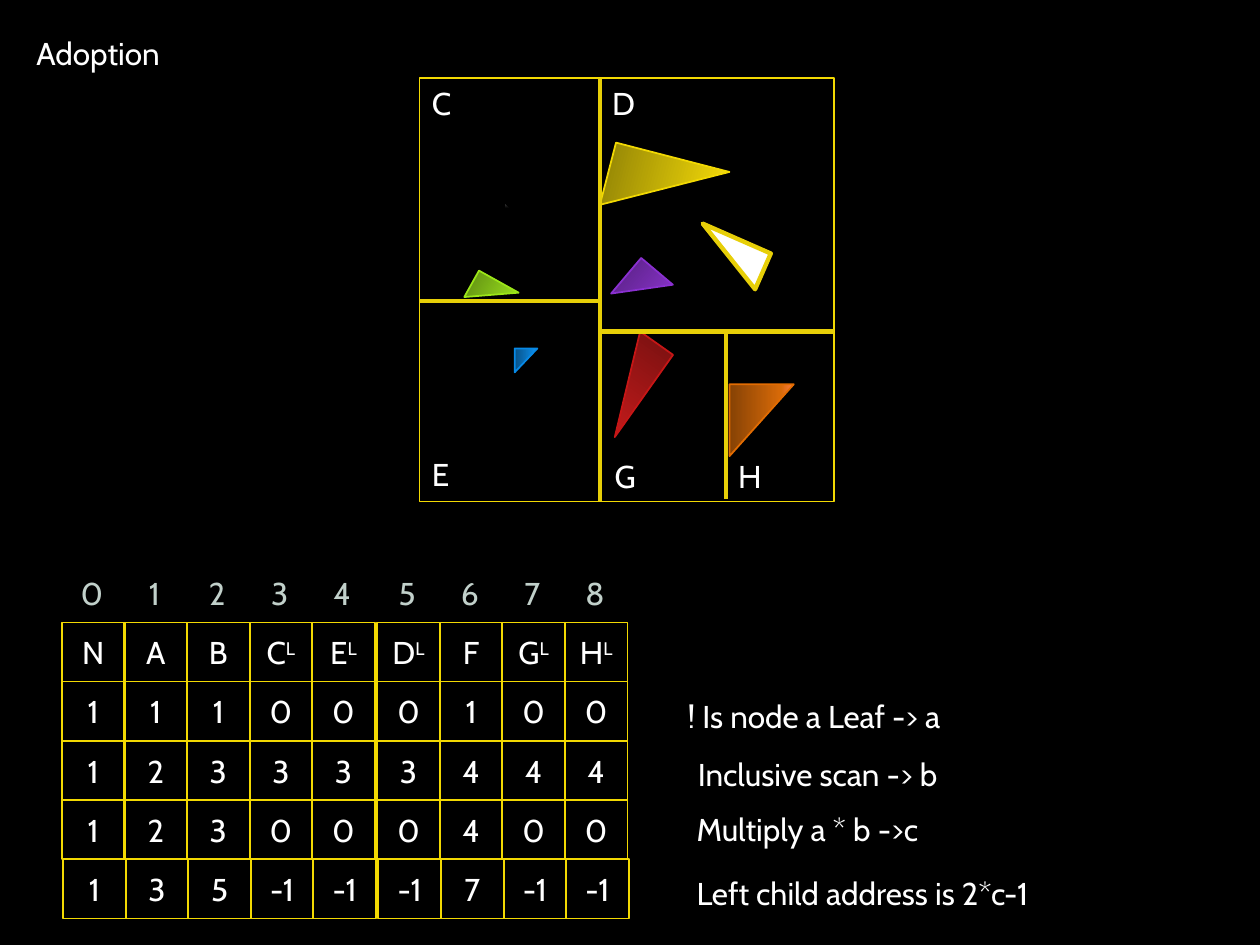
import copy
from dataclasses import dataclass

import pptx
import pptx.dml.color
import pptx.enum.shapes
import pptx.enum.text
import pptx.oxml.ns
import pptx.util
from lxml import etree
from pptx.util import Inches

RGB = pptx.dml.color.RGBColor
SHAPE = pptx.enum.shapes.MSO_SHAPE
BLACK = RGB(0x00, 0x00, 0x00)
WHITE = RGB(0xFF, 0xFF, 0xFF)
PALE = RGB(0xC1, 0xD0, 0xCA)
YELLOW = RGB(0xF2, 0xD9, 0x02)
GOLD = RGB(0xE7, 0xCF, 0x08)
FONT = "Cabin"

CELL_WIDTH, CELL_HEIGHT = 0.5, 0.47
COLUMN_PITCH, ROW_PITCH = 0.4965, 0.47
GRID_LEFT, GRID_TOP = 0.49, 4.94
LEVEL_GAP, LEVEL_START = 0.02, 5

NODES = ["N", "A", "B", "CL", "EL", "DL", "F", "GL", "HL"]
VALUES = [
    [1, 1, 1, 0, 0, 0, 1, 0, 0],
    [1, 2, 3, 3, 3, 3, 4, 4, 4],
    [1, 2, 3, 0, 0, 0, 4, 0, 0],
    [1, 3, 5, -1, -1, -1, 7, -1, -1],
]


@dataclass
class Triangle:
    left: float
    top: float
    width: float
    height: float
    rotation: float
    outline: RGB
    shades: tuple[str, ...]
    line_width: float = 1


@dataclass
class Label:
    text: str
    left: float
    top: float
    width: float


@dataclass
class Split:
    """A line that divides the scene into two nodes."""
    x1: float
    y1: float
    x2: float
    y2: float


TRIANGLES = [
    Triangle(4, 1.6, 0.27, 0.26, 0, BLACK, ("000000", "000000", "5E5E5E")),
    Triangle(5.02, 1.03, 0.51, 0.93, 104.5, YELLOW, ("8F8105", "E7CF08", "FFE552")),
    Triangle(5.49, 1.88, 0.59, 0.31, 203.7, GOLD, ("FFFFFF",), 2.5),
    Triangle(3.78, 2.16, 0.24, 0.36, 119.1, RGB(0x9B, 0xE6, 0x18), ("5D8812", "96DC1D", "ACFF4A")),
    Triangle(4.91, 2.13, 0.37, 0.33, 130.2, RGB(0x8A, 0x30, 0xD0), ("541F7C", "8733C8", "9D4BF2")),
    Triangle(4.08, 2.77, 0.19, 0.18, 90, RGB(0x07, 0x89, 0xE6), ("085288", "0C85DC", "489AFF")),
    Triangle(5.76, 3.08, 0.57, 0.51, 90, RGB(0xE2, 0x6C, 0x02), ("864205", "D86A08", "FF7D44")),
    Triangle(4.82, 2.65, 0.32, 0.8, 215.3, RGB(0xC6, 0x16, 0x16), ("751010", "BD1A1A", "E84545")),
]
SPLITS = [
    Split(4.76, 0.62, 4.76, 3.98),
    Split(4.76, 2.39, 3.33, 2.39),
    Split(6.62, 2.63, 4.77, 2.63),
    Split(5.76, 3.96, 5.76, 2.65),
]
LABELS = [
    Label("Adoption", 0.19, 0.22, 1.2),
    Label("C", 3.33, 0.62, 0.34),
    Label("D", 4.76, 0.62, 0.36),
    Label("E", 3.33, 3.56, 0.33),
    Label("G", 4.78, 3.58, 0.36),
    Label("H", 5.76, 3.58, 0.37),
    Label("! Is node a Leaf -> a", 5.36, 5.48, 2.22),
    Label("Inclusive scan -> b", 5.44, 5.94, 2.1),
    Label("Multiply a * b ->c", 5.43, 6.38, 1.99),
    Label("Left child address is 2*c-1", 5.43, 6.89, 2.86),
]


def style_run(run, color: RGB = WHITE) -> None:
    run.font.size = pptx.util.Pt(18)
    run.font.name = FONT
    run.font.color.rgb = color


def fill_shades(fill, shades: tuple[str, ...]) -> None:
    """Fill with one plain colour, or with a gradient of three."""
    if len(shades) == 1:
        fill.solid()
        fill.fore_color.rgb = RGB.from_string(shades[0])
        return
    fill.gradient()
    fill.gradient_angle = 90
    for stop, shade in zip(fill.gradient_stops, shades):
        stop.color.rgb = RGB.from_string(shade)
    fill.gradient_stops[1].position = 0.8
    qn = pptx.oxml.ns.qn
    stops = fill._xPr.find(qn("a:gradFill")).find(qn("a:gsLst"))
    last = copy.deepcopy(stops[1])
    last.set("pos", "100000")
    last.find(qn("a:srgbClr")).set("val", shades[2])
    stops.append(last)


def add_outlined(slide, kind, left: float, top: float, width: float, height: float,
                 color: RGB = YELLOW, line_width: float = 1):
    shape = slide.shapes.add_shape(kind, Inches(left), Inches(top), Inches(width), Inches(height))
    shape.shadow.inherit = False
    shape.fill.background()
    shape.line.color.rgb = color
    shape.line.width = pptx.util.Pt(line_width)
    return shape


def add_triangle(slide, item: Triangle) -> None:
    shape = add_outlined(slide, SHAPE.RIGHT_TRIANGLE, item.left, item.top,
                         item.width, item.height, item.outline, item.line_width)
    shape.rotation = item.rotation
    fill_shades(shape.fill, item.shades)


def add_split(slide, split: Split) -> None:
    line = slide.shapes.add_connector(
        pptx.enum.shapes.MSO_CONNECTOR.STRAIGHT,
        Inches(split.x1), Inches(split.y1), Inches(split.x2), Inches(split.y2))
    line.line.color.rgb = GOLD
    line.line.width = pptx.util.Pt(2.5)
    etree.SubElement(line._element.spPr, pptx.oxml.ns.qn("a:effectLst"))


def add_label(slide, label: Label) -> None:
    box = slide.shapes.add_textbox(Inches(label.left), Inches(label.top),
                                   Inches(label.width), Inches(0.4))
    frame = box.text_frame
    frame.text = label.text
    frame.word_wrap = False
    frame.auto_size = pptx.enum.text.MSO_AUTO_SIZE.SHAPE_TO_FIT_TEXT
    style_run(frame.paragraphs[0].runs[0])


def center_text(shape, text: str, color: RGB = WHITE) -> None:
    """Centre the text; the L that marks a leaf node is raised."""
    frame = shape.text_frame
    frame.word_wrap = True
    frame.vertical_anchor = pptx.enum.text.MSO_ANCHOR.MIDDLE
    paragraph = frame.paragraphs[0]
    paragraph.alignment = pptx.enum.text.PP_ALIGN.CENTER
    node = text.removesuffix("L")
    paragraph.text = node
    style_run(paragraph.runs[0], color)
    if node != text:
        leaf_mark = paragraph.add_run()
        leaf_mark.text = "L"
        style_run(leaf_mark, color)
        leaf_mark._r.get_or_add_rPr().set("baseline", "30000")


def column_left(column: int) -> float:
    return GRID_LEFT + column * COLUMN_PITCH + (LEVEL_GAP if column >= LEVEL_START else 0)


def add_node_grid(slide) -> None:
    rows = [NODES] + VALUES
    for row, values in enumerate(rows):
        shift = 0.01 if row == len(rows) - 1 else 0
        for column, value in enumerate(values):
            cell = add_outlined(slide, SHAPE.RECTANGLE, column_left(column) + shift,
                                GRID_TOP + row * ROW_PITCH, CELL_WIDTH, CELL_HEIGHT)
            center_text(cell, str(value))
    for column in range(len(NODES)):
        index = slide.shapes.add_textbox(
            Inches(column_left(column) - 0.01), Inches(GRID_TOP - ROW_PITCH),
            Inches(CELL_WIDTH), Inches(CELL_HEIGHT))
        center_text(index, str(column), PALE)


def main() -> None:
    deck = pptx.Presentation()
    deck.slide_width, deck.slide_height = Inches(10), Inches(7.5)
    slide = deck.slides.add_slide(deck.slide_layouts[6])
    slide.background.fill.solid()
    slide.background.fill.fore_color.rgb = BLACK

    add_outlined(slide, SHAPE.RECTANGLE, 3.33, 0.62, 3.29, 3.36)
    for triangle in TRIANGLES:
        add_triangle(slide, triangle)
    for split in SPLITS:
        add_split(slide, split)
    for label in LABELS:
        add_label(slide, label)
    add_node_grid(slide)
    deck.save("out.pptx")


if __name__ == "__main__":
    main()
